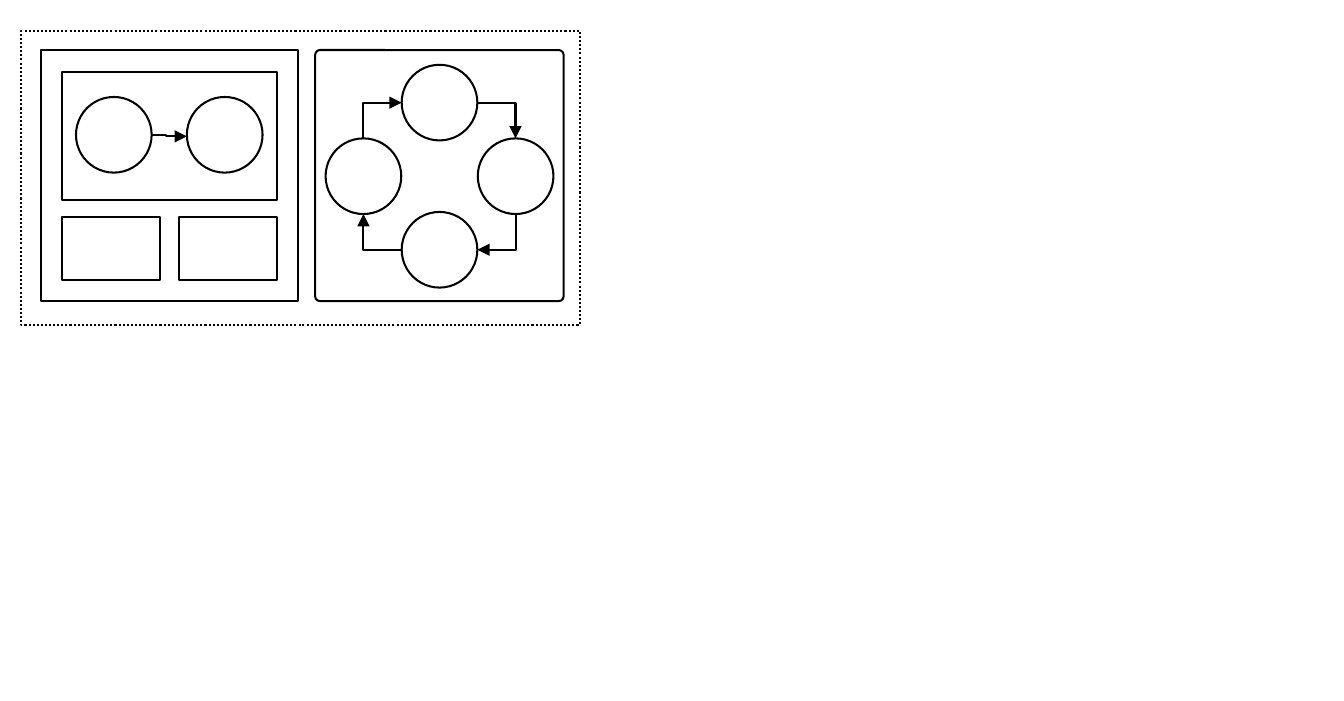
"""Build a slide with a two-step flow beside a four-step cycle."""
import dataclasses
import math

import lxml.etree
import pptx
import pptx.dml.color
import pptx.enum.dml
import pptx.enum.shapes
import pptx.oxml
import pptx.oxml.ns
import pptx.util

Pt = pptx.util.Pt
qn = pptx.oxml.ns.qn
SHAPE = pptx.enum.shapes.MSO_SHAPE


@dataclasses.dataclass(frozen=True)
class Theme:
    ink: pptx.dml.color.RGBColor = pptx.dml.color.RGBColor(0, 0, 0)
    line_width: float = 1


@dataclasses.dataclass(frozen=True)
class Box:
    left: float
    top: float
    width: float
    height: float
    kind: SHAPE = SHAPE.RECTANGLE
    corner: float = 0
    dotted: bool = False


@dataclasses.dataclass(frozen=True)
class Point:
    x: float
    y: float


THEME = Theme()
STEP_SIZE = 36.7
RADIUS = STEP_SIZE / 2


def style_line(line) -> None:
    line.color.rgb = THEME.ink
    line.width = Pt(THEME.line_width)


def draw_box(slide, box: Box) -> None:
    outline = slide.shapes.add_shape(
        box.kind, Pt(box.left), Pt(box.top), Pt(box.width), Pt(box.height))
    outline.shadow.inherit = False
    outline.fill.background()
    style_line(outline.line)
    if box.corner:
        outline.adjustments[0] = box.corner
    if box.dotted:
        outline.line.dash_style = pptx.enum.dml.MSO_LINE.ROUND_DOT


def draw_step(slide, centre: Point) -> None:
    draw_box(slide, Box(centre.x - RADIUS, centre.y - RADIUS,
                        STEP_SIZE, STEP_SIZE, SHAPE.OVAL))


def draw_arrow(slide, start: Point, end: Point):
    arrow = slide.shapes.add_connector(
        pptx.enum.shapes.MSO_CONNECTOR.ELBOW,
        Pt(start.x), Pt(start.y), Pt(end.x), Pt(end.y))
    style_line(arrow.line)
    line_xml = arrow.line._get_or_add_ln()
    lxml.etree.SubElement(line_xml, qn("a:tailEnd"), type="triangle")
    lxml.etree.SubElement(arrow._element.spPr, qn("a:effectLst"))
    return arrow


def draw_corner_arrow(slide, start: Point, end: Point, quarter_turns: int) -> None:
    width, height = abs(end.x - start.x), abs(end.y - start.y)
    if quarter_turns % 2:
        width, height = height, width
    middle = Point((start.x + end.x) / 2, (start.y + end.y) / 2)
    arrow = draw_arrow(slide,
                       Point(middle.x - width / 2, middle.y - height / 2),
                       Point(middle.x + width / 2, middle.y + height / 2))
    properties = arrow._element.spPr
    properties.find(qn("a:prstGeom")).set("prst", "bentConnector2")
    properties.find(qn("a:xfrm")).set("rot", str(quarter_turns * 90 * 60000))


def draw_flow(slide, first: Point, second: Point) -> None:
    draw_step(slide, first)
    draw_step(slide, second)
    arrow = draw_arrow(slide, Point(first.x + RADIUS, first.y),
                       Point(second.x - RADIUS, second.y + 0.8))
    geometry = arrow._element.spPr.find(qn("a:prstGeom"))
    bend = geometry.find(qn("a:avLst"))
    lxml.etree.SubElement(bend, qn("a:gd"), name="adj1", fmla="val 39700")


def draw_cycle(slide, centre: Point, reach: Point) -> None:
    directions = [Point(round(math.sin(turn * math.pi / 2)),
                        -round(math.cos(turn * math.pi / 2))) for turn in range(4)]
    steps = [Point(centre.x + reach.x * toward.x, centre.y + reach.y * toward.y)
             for toward in directions]
    for step in steps:
        draw_step(slide, step)
    for turn, toward in enumerate(directions):
        following = (turn + 1) % 4
        step, target = steps[turn], steps[following]
        leaving = directions[following]
        start = Point(step.x + RADIUS * leaving.x, step.y + RADIUS * leaving.y)
        end = Point(target.x + RADIUS * toward.x, target.y + RADIUS * toward.y)
        draw_corner_arrow(slide, start, end, turn)


def main() -> None:
    deck = pptx.Presentation()
    deck.slide_width, deck.slide_height = Pt(651.97), Pt(340.16)
    slide = deck.slides.add_slide(deck.slide_layouts[6])
    frame = Box(10.3, 15.1, 271.1, 142.6, dotted=True)
    flow_panel = Box(19.9, 24.3, 124.8, 121.8)
    flow_area = Box(30.1, 35, 104.4, 62.1)
    lower_areas = [Box(30.1 + 56.7 * column, 105.4, 47.8, 30.5) for column in range(2)]
    cycle_panel = Box(152.9, 24.3, 120.5, 121.8, SHAPE.ROUNDED_RECTANGLE, 0.019)
    for box in (frame, flow_panel, flow_area, *lower_areas, cycle_panel):
        draw_box(slide, box)
    draw_cycle(slide, Point(213.2, 85.5), Point(36.9, 35.7))
    draw_flow(slide, Point(55.2, 65.4), Point(109, 65.4))
    deck.save("out.pptx")


main()
